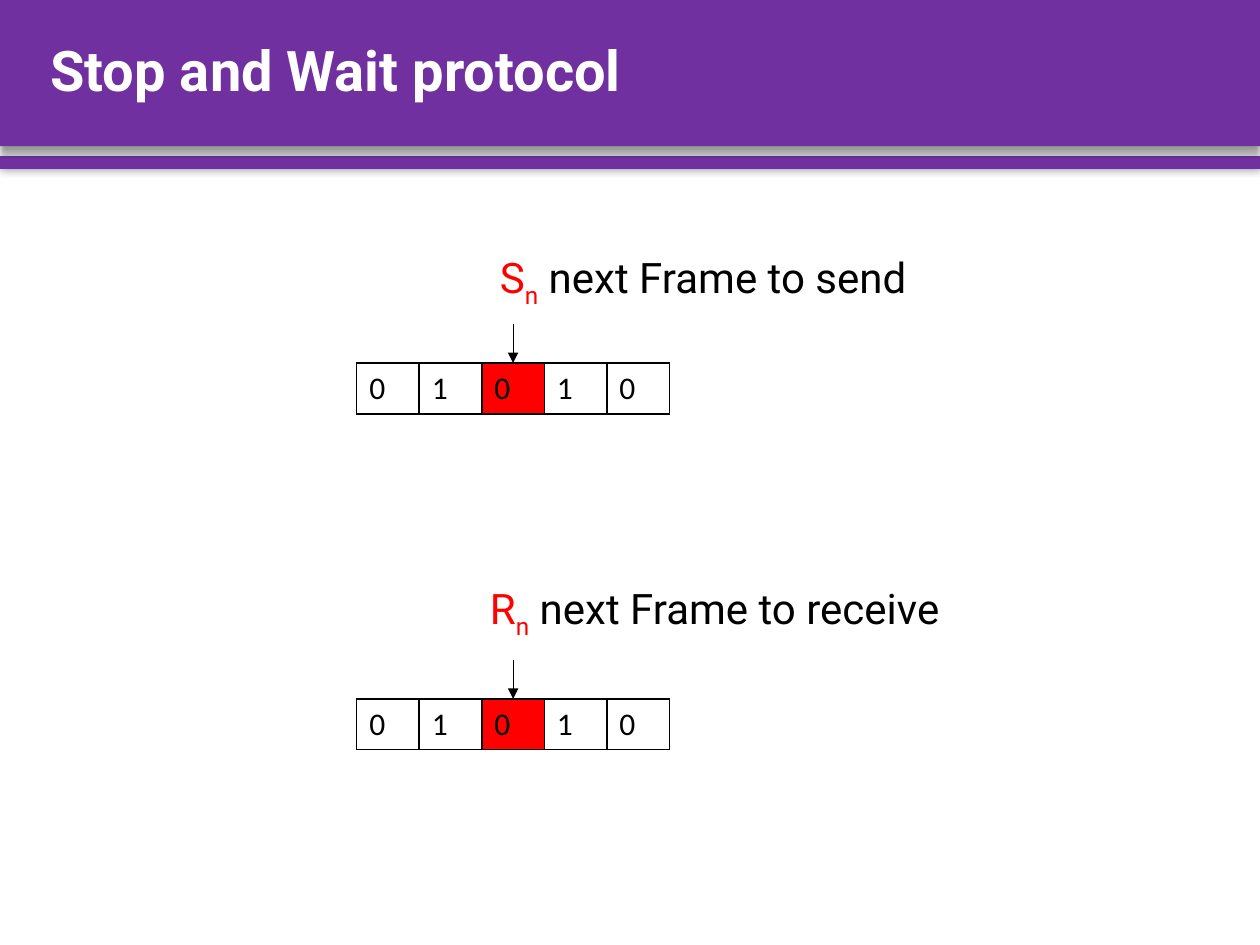
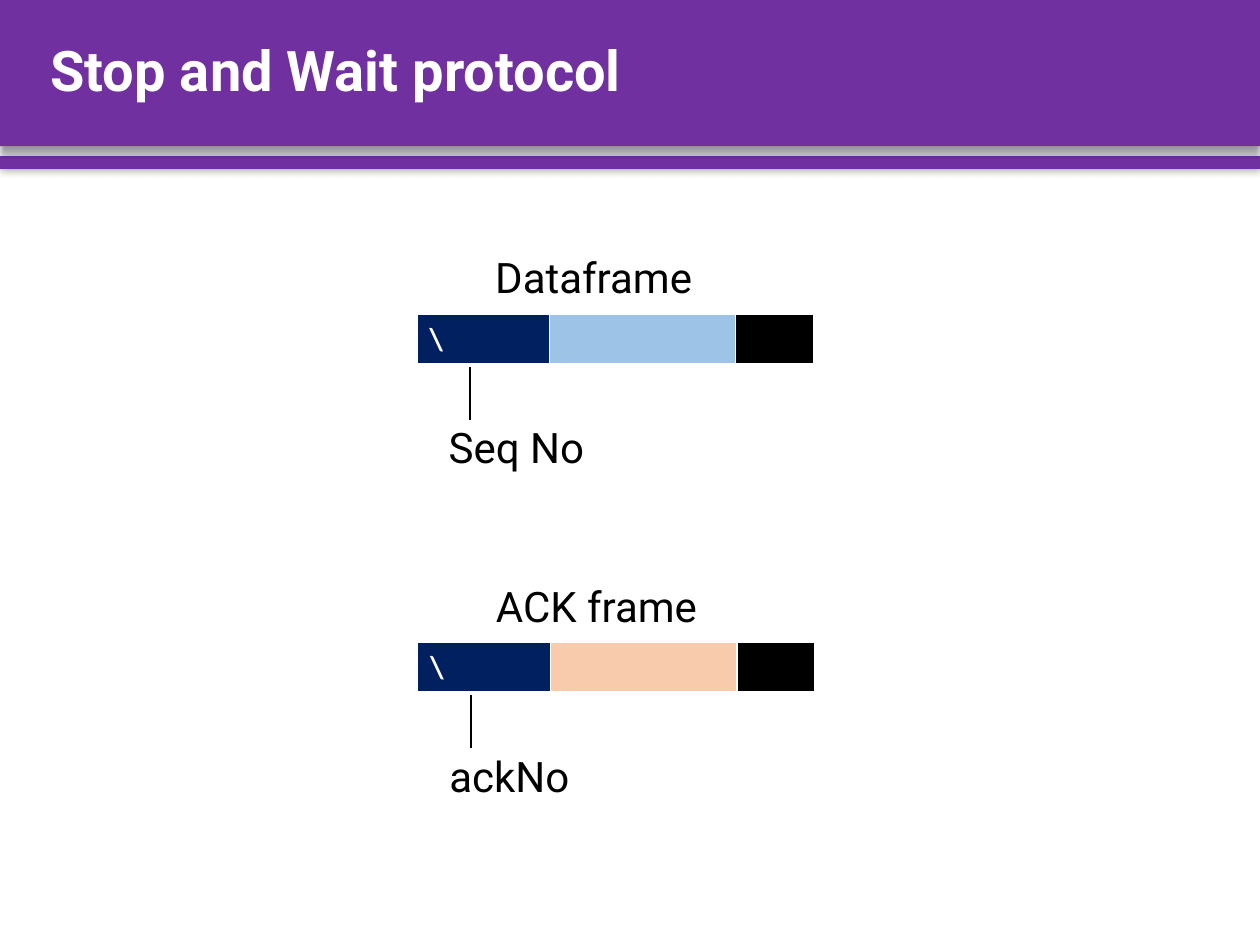
from lxml import etree
from pptx import Presentation
from pptx.dml.color import RGBColor
from pptx.enum import shapes, text
from pptx.oxml import ns
from pptx.util import Pt

COLORS = {
    "purple": "7030A0", "white": "FFFFFF", "black": "000000", "red": "FF0000",
    "navy": "002060", "blue": "9DC3E6", "peach": "F8CBAD",
}
BODY_FONT, CELL_FONT = "Roboto", "Calibri"
SLIDE_WIDTH, SLIDE_HEIGHT = 720, 540
BAND_HEIGHT = 83.6
ROW_HEIGHT = 28.8
LABEL_HEIGHT = 36
TITLE_ONLY = 5


def color(name):
    return RGBColor.from_string(COLORS[name])


def add_xml(parent, tag, **attributes):
    return etree.SubElement(parent, ns.qn(tag), attributes)


def add_run(paragraph, words, size, color_name, font=BODY_FONT, bold=False, baseline=None):
    run = paragraph.add_run()
    run.text = words
    run.font.name, run.font.size, run.font.bold = font, Pt(size), bold
    run.font.color.rgb = color(color_name)
    if baseline:
        run._r.get_or_add_rPr().set("baseline", str(baseline * 1000))


# Shared header: two shadowed bands on the layout, one title style
def add_band(slide, layout, top, height, blur, distance, direction):
    band = slide.shapes.add_shape(
        shapes.MSO_SHAPE.RECTANGLE, 0, Pt(top), Pt(SLIDE_WIDTH), Pt(height))
    band.fill.solid()
    band.fill.fore_color.rgb = color("purple")
    band.line.fill.background()
    band.shadow.inherit = False
    effects = band.element.spPr.find(ns.qn("a:effectLst"))
    shadow = add_xml(effects, "a:outerShdw", blurRad=str(Pt(blur)), dist=str(Pt(distance)),
                     dir=str(direction * 60000), algn="t", rotWithShape="0")
    shade = add_xml(shadow, "a:srgbClr", val=COLORS["black"])
    add_xml(shade, "a:alpha", val="40000")
    layout.shapes.element.insert(2, band.element)


def add_title(slide, words):
    title = slide.shapes.title
    title.left, title.top = Pt(21.6), Pt(0)
    title.width, title.height = Pt(681), Pt(BAND_HEIGHT)
    frame = title.text_frame
    frame.auto_size = text.MSO_AUTO_SIZE.NONE
    frame.vertical_anchor = text.MSO_ANCHOR.MIDDLE
    paragraph = frame.paragraphs[0]
    paragraph.alignment = text.PP_ALIGN.LEFT
    paragraph.line_spacing = 0.9
    add_run(paragraph, words, 32, "white", bold=True)


# Diagram parts
def add_label(slide, left, top, width):
    box = slide.shapes.add_textbox(Pt(left), Pt(top), Pt(width), Pt(LABEL_HEIGHT))
    box.text_frame.word_wrap = True
    box.text_frame.auto_size = text.MSO_AUTO_SIZE.SHAPE_TO_FIT_TEXT
    return box.text_frame.paragraphs[0]


def add_vertical_line(slide, x, top, bottom, width, arrow=False):
    connector = slide.shapes.add_connector(
        shapes.MSO_CONNECTOR.STRAIGHT, Pt(x), Pt(top), Pt(x), Pt(bottom))
    connector.line.color.rgb = color("black")
    connector.line.width = Pt(width)
    properties = connector.element.spPr
    if arrow:
        add_xml(properties.find(ns.qn("a:ln")), "a:tailEnd", type="triangle")
    add_xml(properties, "a:effectLst")


def set_borders(cell, color_name, widths):
    properties = cell._tc.get_or_add_tcPr()
    for side, width in zip("LRTB", widths):
        line = add_xml(properties, f"a:ln{side}", w=str(Pt(width)))
        fill = add_xml(line, "a:solidFill")
        add_xml(fill, "a:srgbClr", val=COLORS[color_name])


def add_strip(slide, left, top, widths, words, fills, text_color, border_color, borders,
              bold=False):
    table = slide.shapes.add_table(
        1, len(widths), Pt(left), Pt(top), Pt(sum(widths)), Pt(ROW_HEIGHT)).table
    table.first_row = table.horz_banding = False
    for column, width in zip(table.columns, widths):
        column.width = Pt(width)
    for cell, word, fill in zip(table.rows[0].cells, words, fills):
        set_borders(cell, border_color, borders)
        if fill:
            cell.fill.solid()
            cell.fill.fore_color.rgb = color(fill)
        else:
            cell.fill.background()
        if word:
            add_run(cell.text_frame.paragraphs[0], word, 18, text_color, CELL_FONT, bold)


def add_window(slide, top, label_left, label_top, variable, meaning):
    """Sequence numbers with an arrow to the current one."""
    left, cell_width, numbers = 203.8, 35.76, "01010"
    current = len(numbers) // 2
    fills = ["red" if i == current else None for i in range(len(numbers))]
    add_strip(slide, left, top, [cell_width] * len(numbers), numbers, fills,
              "black", "black", (1, 1, 1, 1))
    add_vertical_line(slide, left + cell_width * (current + 0.5), top - 22, top, 0.5, arrow=True)
    label = add_label(slide, label_left, label_top, 325)
    add_run(label, variable, 24, "red")
    add_run(label, "n", 24, "red", baseline=-25)
    add_run(label, meaning, 24, "black")


def add_frame(slide, left, top, header_width, name, field, payload_color):
    """Frame of header, payload and trailer; a line names the header field."""
    add_vertical_line(slide, left + 30.4, top + 16, top + 60.5, 1)
    add_strip(slide, left, top, [header_width, 106.5, 44.5], ["\\", "", ""],
              ["navy", payload_color, "black"], "white", "white", (1, 1, 1, 3), bold=True)
    add_run(add_label(slide, left + 37.6, top - 39.2, 168), name, 24, "black")
    add_run(add_label(slide, left + 11, top + 58.3, 130), field, 24, "black")


def main():
    presentation = Presentation()
    presentation.slide_width, presentation.slide_height = Pt(SLIDE_WIDTH), Pt(SLIDE_HEIGHT)
    layout = presentation.slide_layouts[TITLE_ONLY]
    window_slide, frame_slide = [presentation.slides.add_slide(layout) for _ in range(2)]

    add_band(window_slide, layout, 0, BAND_HEIGHT, 4, 3, 90)
    add_band(window_slide, layout, 89.3, 7.2, 5, 0, 0)
    for slide in (window_slide, frame_slide):
        add_title(slide, "Stop and Wait protocol")

    # Sender and receiver windows
    add_window(window_slide, 207.4, 278.6, 140.4, "S", " next Frame to send")
    add_window(window_slide, 399.4, 272.9, 329.5, "R", " next Frame to receive")

    # Data and acknowledgement frames
    add_frame(frame_slide, 238.3, 179.3, 75.6, "Dataframe", "Seq No", "blue")
    add_frame(frame_slide, 238.7, 367.2, 76, "ACK frame", "ackNo", "peach")

    presentation.save("out.pptx")


if __name__ == "__main__":
    main()
